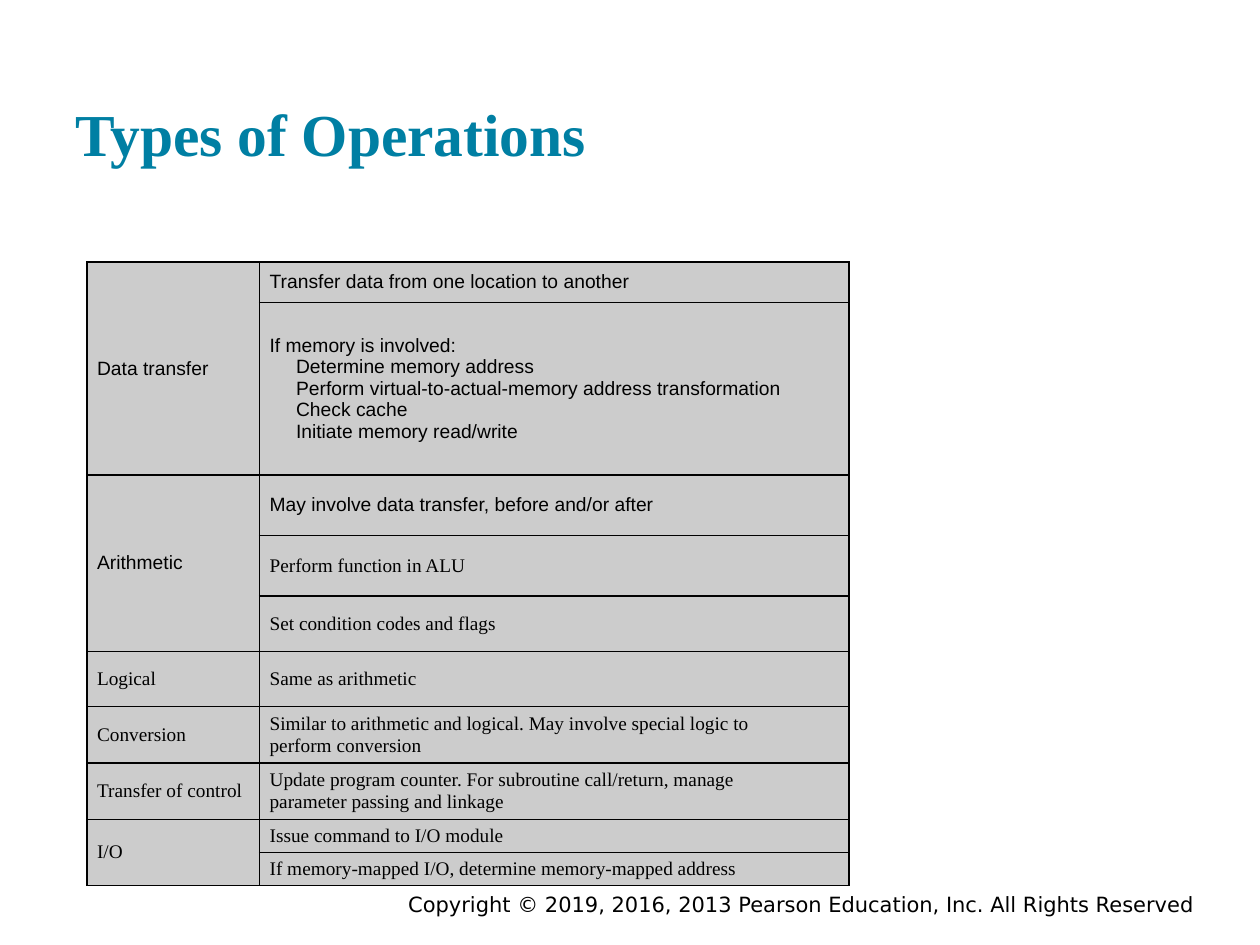
from lxml import etree
from pptx import Presentation
from pptx import util as u
from pptx.dml.color import RGBColor
from pptx.enum import text
from pptx.oxml.ns import qn

THEME = {
    "ink": "000000", "title": "007FA3", "cell": "CCCCCC",
    "sans": "Arial", "serif": "Times New Roman", "foot": "DejaVu Sans",
    "title_pt": 34, "cell_pt": 11, "foot_pt": 12, "rule_pt": 1,
}
TITLE = "Types of Operations"
FOOTER = "Copyright © 2019, 2016, 2013 Pearson Education, Inc. All Rights Reserved"

# Each group: name, font, steps. Each step: row height, font, lines.
# A line that starts with "> " is indented.
GROUPS = [
    ("Data transfer", "sans", [
        (0.32, "sans", ["Transfer data from one location to another"]),
        (1.37, "sans", [
            "If memory is involved:",
            "> Determine memory address",
            "> Perform virtual-to-actual-memory address transformation",
            "> Check cache",
            "> Initiate memory read/write",
        ]),
    ]),
    ("Arithmetic", "sans", [
        (0.48, "sans", ["May involve data transfer, before and/or after"]),
        (0.48, "serif", ["Perform function in ALU"]),
        (0.44, "serif", ["Set condition codes and flags"]),
    ]),
    ("Logical", "serif", [(0.44, "serif", ["Same as arithmetic"])]),
    ("Conversion", "serif", [
        (0.42, "serif", [
            "Similar to arithmetic and logical. May involve special logic to",
            "perform conversion",
        ]),
    ]),
    ("Transfer of control", "serif", [
        (0.42, "serif", [
            "Update program counter. For subroutine call/return, manage",
            "parameter passing and linkage",
        ]),
    ]),
    ("I/O", "serif", [
        (0.25, "serif", ["Issue command to I/O module"]),
        (0.25, "serif", ["If memory-mapped I/O, determine memory-mapped address"]),
    ]),
]
COLS = (1.37, 4.68)
LEFT, TOP, INDENT = 0.69, 2.08, 0.21


def color(name):
    return RGBColor.from_string(THEME[name])


def add_run(para, words, face, size, ink="ink", bold=False):
    run = para.add_run()
    run.text = words
    run.font.name = THEME[face]
    run.font.size = u.Pt(THEME[size])
    run.font.bold = bold
    run.font.color.rgb = color(ink)


def set_pad(part, x, y):
    part.margin_left = part.margin_right = u.Inches(x)
    part.margin_top = part.margin_bottom = u.Inches(y)


def add_label(slide, box, words, pad, anchor, align, **style):
    frame = slide.shapes.add_textbox(*map(u.Inches, box)).text_frame
    frame.word_wrap = True
    frame.vertical_anchor = anchor
    set_pad(frame, 0.1, pad)
    para = frame.paragraphs[0]
    para.alignment = align
    add_run(para, words, **style)


def style_cell(cell):
    """Set borders first, as the schema wants them ahead of the fill."""
    props = cell._tc.get_or_add_tcPr()
    for side in ("lnL", "lnR", "lnT", "lnB"):
        line = etree.SubElement(props, qn("a:" + side), w=str(u.Pt(THEME["rule_pt"])))
        fill = etree.SubElement(line, qn("a:solidFill"))
        etree.SubElement(fill, qn("a:srgbClr"), val=THEME["ink"])
    cell.fill.solid()
    cell.fill.fore_color.rgb = color("cell")
    cell.vertical_anchor = text.MSO_ANCHOR.MIDDLE
    set_pad(cell, 0.08, 0.04)


def fill_cell(cell, lines, face):
    frame = cell.text_frame
    for i, line in enumerate(lines):
        para = frame.add_paragraph() if i else frame.paragraphs[0]
        if line.startswith("> "):
            para._p.get_or_add_pPr().set("marL", str(u.Inches(INDENT)))
        add_run(para, line.removeprefix("> "), face, "cell_pt")


def add_grid(slide):
    steps = [step for group in GROUPS for step in group[2]]
    size = (sum(COLS), sum(step[0] for step in steps))
    table = slide.shapes.add_table(
        len(steps), len(COLS), *map(u.Inches, (LEFT, TOP, *size))).table
    table.first_row = table.horz_banding = False
    for col, width in zip(table.columns, COLS):
        col.width = u.Inches(width)
    for cell in table.iter_cells():
        style_cell(cell)
    for r, (height, face, lines) in enumerate(steps):
        table.rows[r].height = u.Inches(height)
        fill_cell(table.cell(r, 1), lines, face)
    first = 0
    for name, face, group in GROUPS:
        last = first + len(group) - 1
        head = table.cell(first, 0)
        if last > first:
            head.merge(table.cell(last, 0))
            for r in range(first + 1, last + 1):
                table.cell(r, 0).text_frame.paragraphs[0].font.size = u.Pt(THEME["cell_pt"])
        fill_cell(head, [name], face)
        first = last + 1


def main():
    deck = Presentation()
    deck.slide_width, deck.slide_height = u.Inches(10), u.Inches(7.5)
    slide = deck.slides.add_slide(deck.slide_layouts[6])
    add_label(slide, (1.75, 7.03, 7.83, 0.22), FOOTER, 0.05,
              text.MSO_ANCHOR.TOP, text.PP_ALIGN.RIGHT, face="foot", size="foot_pt")
    add_label(slide, (0.5, 0.24, 9, 1.2), TITLE, 0.1,
              text.MSO_ANCHOR.BOTTOM, text.PP_ALIGN.LEFT,
              face="serif", size="title_pt", ink="title", bold=True)
    add_grid(slide)
    deck.save("out.pptx")


if __name__ == "__main__":
    main()
